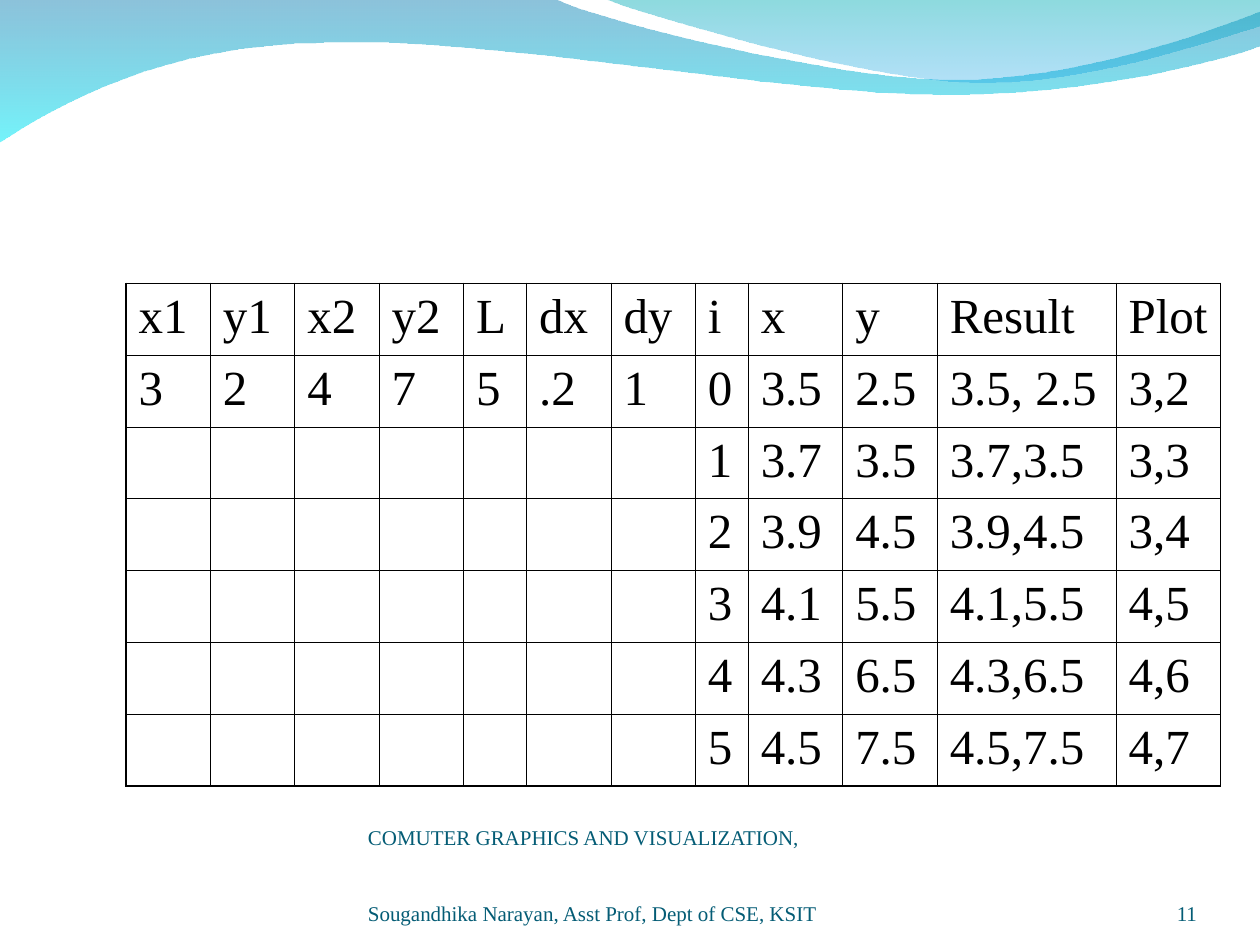
from lxml.etree import SubElement
from pptx import Presentation
from pptx.dml.color import RGBColor
from pptx.enum.text import MSO_ANCHOR, PP_ALIGN
from pptx.oxml import parse_xml
from pptx.oxml.ns import nsdecls, qn
from pptx.util import Inches, Pt

FONT = "Times New Roman"
BLACK = RGBColor(0x00, 0x00, 0x00)
TEAL = RGBColor(0x04, 0x5C, 0x75)
DEEP_BLUE = RGBColor(0x00, 0x79, 0xAF)
CYAN = RGBColor(0x00, 0xEB, 0xF8)
SEA_GREEN = RGBColor(0x00, 0xAD, 0xB6)
SKY_BLUE = RGBColor(0x00, 0x9B, 0xE5)

# Each outline: start point, then lines (one point) or Bezier curves (three points).
# Each stop: colour, opacity in percent.
WAVES = [
    {
        "start": (0, -0.01),
        "segments": [
            [(4.4, -0.01)],
            [(4.76, 0.17), (6.64, 0.63), (7.58, 0.63)],
            [(8.53, 0.63), (9.58, 0.26), (10, 0.09)],
            [(10.01, 0.36)],
            [(9.83, 0.44), (8.7, 0.76), (7.46, 0.75)],
            [(6.22, 0.75), (3.82, 0.28), (2.57, 0.34)],
            [(1.29, 0.35), (0.46, 0.83), (-0.01, 1.13)],
        ],
        "stops": [(DEEP_BLUE, 45), (CYAN, 55)],
    },
    {
        "start": (4.79, -0.01),
        "segments": [
            [(5.09, 0.11), (6.82, 0.62), (7.69, 0.65)],
            [(8.56, 0.69), (9.61, 0.32), (10, 0.21)],
            [(10, 0)],
        ],
        "stops": [(SEA_GREEN, 45), (SKY_BLUE, 30)],
    },
]

HEADER = ["x1", "y1", "x2", "y2", "L", "dx", "dy", "i", "x", "y", "Result", "Plot"]
INPUTS = ["3", "2", "4", "7", "5", ".2", "1"]
STEPS = [
    ["0", "3.5", "2.5", "3.5, 2.5", "3,2"],
    ["1", "3.7", "3.5", "3.7,3.5", "3,3"],
    ["2", "3.9", "4.5", "3.9,4.5", "3,4"],
    ["3", "4.1", "5.5", "4.1,5.5", "4,5"],
    ["4", "4.3", "6.5", "4.3,6.5", "4,6"],
    ["5", "4.5", "7.5", "4.5,7.5", "4,7"],
]
COL_WIDTHS = [0.67] * 4 + [0.5, 0.67, 0.67, 0.42, 0.75, 0.75, 1.42, 0.83]
ROW_HEIGHT = 0.57
OUTER, INNER = 1.08, 0.45

FOOTER = [
    "COMUTER GRAPHICS AND VISUALIZATION,",
    "Sougandhika Narayan, Asst Prof, Dept of CSE, KSIT",
]
PAGE_NUMBER = "11"


def curve_points(p0, p1, p2, p3, steps=16):
    """Points along a cubic Bezier curve, without its first point."""
    for n in range(1, steps + 1):
        t = n / steps
        u = 1 - t
        yield tuple(
            u**3 * a + 3 * u * u * t * b + 3 * u * t * t * c + t**3 * d
            for a, b, c, d in zip(p0, p1, p2, p3)
        )


def add_wave(slide, start, segments, stops):
    points = [start]
    for segment in segments:
        points += curve_points(points[-1], *segment) if len(segment) == 3 else segment
    emu = [(Inches(x), Inches(y)) for x, y in points]
    builder = slide.shapes.build_freeform(*emu[0])
    builder.add_line_segments(emu[1:], close=True)
    sp = builder.convert_to_shape()
    sp.shadow.inherit = False
    sp.line.fill.background()
    sp.fill.gradient()
    sp.fill.gradient_angle = 270
    for stop, (color, _) in zip(sp.fill.gradient_stops, stops):
        stop.color.rgb = color
    for clr, (_, opacity) in zip(sp._element.spPr.iter(qn("a:srgbClr")), stops):
        SubElement(clr, qn("a:alpha"), val=str(opacity * 1000))


def set_borders(cell, widths):
    """Set black borders; widths maps L, R, T and B to points."""
    tc_pr = cell._tc.get_or_add_tcPr()
    for n, (side, width) in enumerate(widths.items()):
        tc_pr.insert(n, parse_xml(
            f'<a:ln{side} {nsdecls("a")} w="{Pt(width)}"><a:solidFill>'
            f'<a:srgbClr val="{BLACK}"/></a:solidFill></a:ln{side}>'
        ))


def style(p, size, color):
    p.font.name = FONT
    p.font.size = Pt(size)
    p.font.color.rgb = color


def add_step_table(slide):
    blanks = [""] * len(INPUTS)
    rows = [HEADER, INPUTS + STEPS[0]] + [blanks + step for step in STEPS[1:]]
    last_row, last_col = len(rows) - 1, len(HEADER) - 1
    table = slide.shapes.add_table(
        len(rows), len(HEADER), Inches(1), Inches(2.25),
        Inches(sum(COL_WIDTHS)), Inches(ROW_HEIGHT * len(rows)),
    ).table
    table.first_row = table.horz_banding = False
    for column, width in zip(table.columns, COL_WIDTHS):
        column.width = Inches(width)
    for r, values in enumerate(rows):
        table.rows[r].height = Inches(ROW_HEIGHT)
        for c, value in enumerate(values):
            cell = table.cell(r, c)
            cell.fill.background()
            set_borders(cell, {
                "L": OUTER if c == 0 else INNER,
                "R": OUTER if c == last_col else INNER,
                "T": OUTER if r == 0 else INNER,
                "B": OUTER if r == last_row else INNER,
            })
            if value:
                cell.text = value
                p = cell.text_frame.paragraphs[0]
                p.space_before = Pt(7)
                style(p, 28, BLACK)


def add_footer_text(slide, lines, left, width, align):
    box = slide.shapes.add_textbox(Inches(left), Inches(6.95), Inches(width), Inches(0.4))
    tf = box.text_frame
    tf.word_wrap = True
    tf.vertical_anchor = MSO_ANCHOR.BOTTOM
    tf.margin_left = tf.margin_right = tf.margin_top = tf.margin_bottom = 0
    tf.text = "\n".join(lines)
    for n, p in enumerate(tf.paragraphs):
        p.alignment = align
        p.space_before = Pt(29 if n else 0)
        style(p, 12, TEAL)


def main():
    prs = Presentation()
    prs.slide_width, prs.slide_height = Inches(10), Inches(7.5)
    slide = prs.slides.add_slide(prs.slide_layouts[6])
    for wave in WAVES:
        add_wave(slide, **wave)
    add_step_table(slide)
    add_footer_text(slide, FOOTER, 2.92, 3.67, PP_ALIGN.LEFT)
    add_footer_text(slide, [PAGE_NUMBER], 8.67, 0.83, PP_ALIGN.RIGHT)
    prs.save("out.pptx")


if __name__ == "__main__":
    main()
